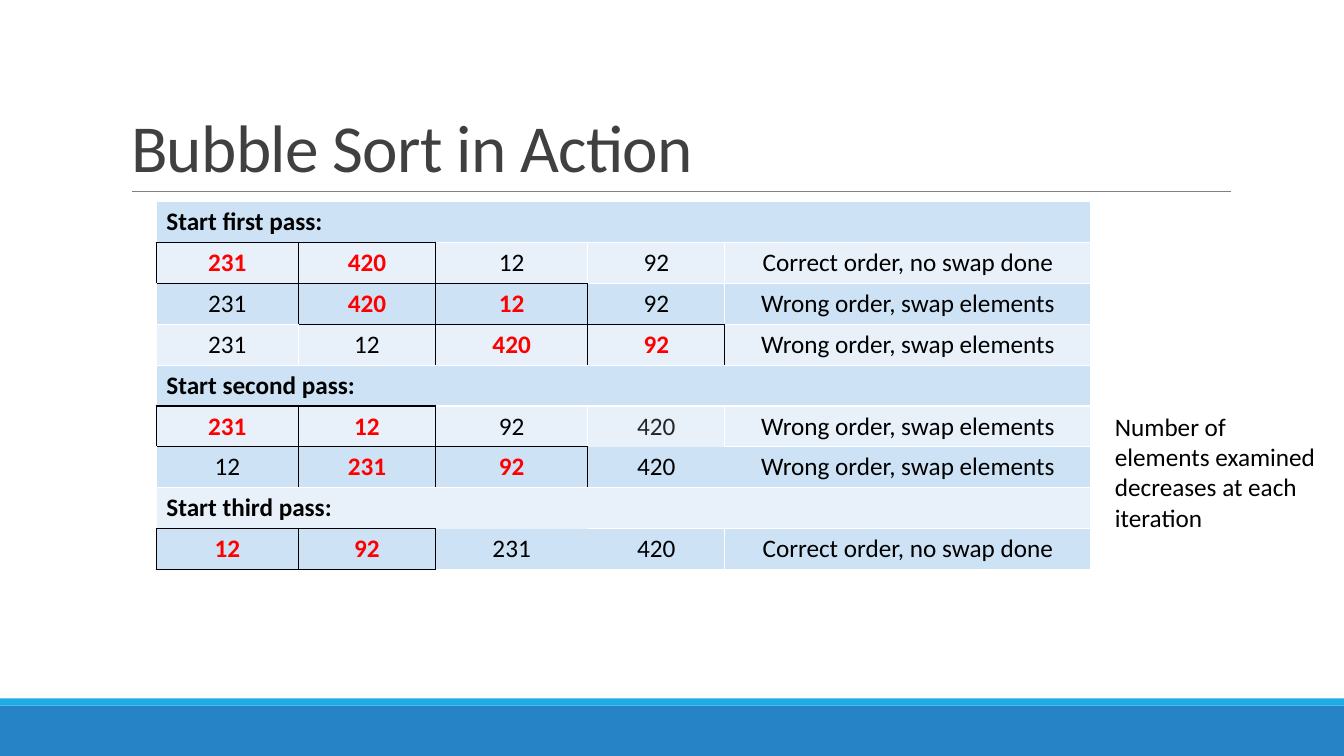
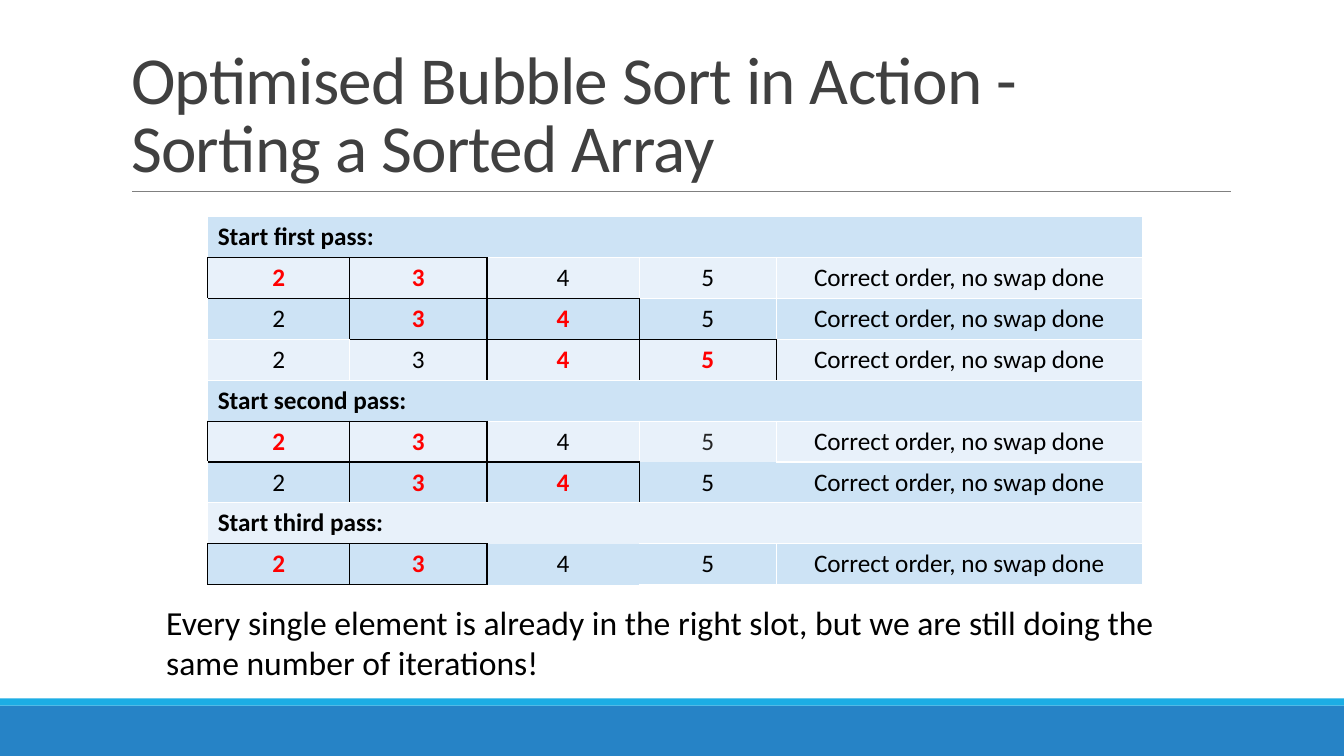
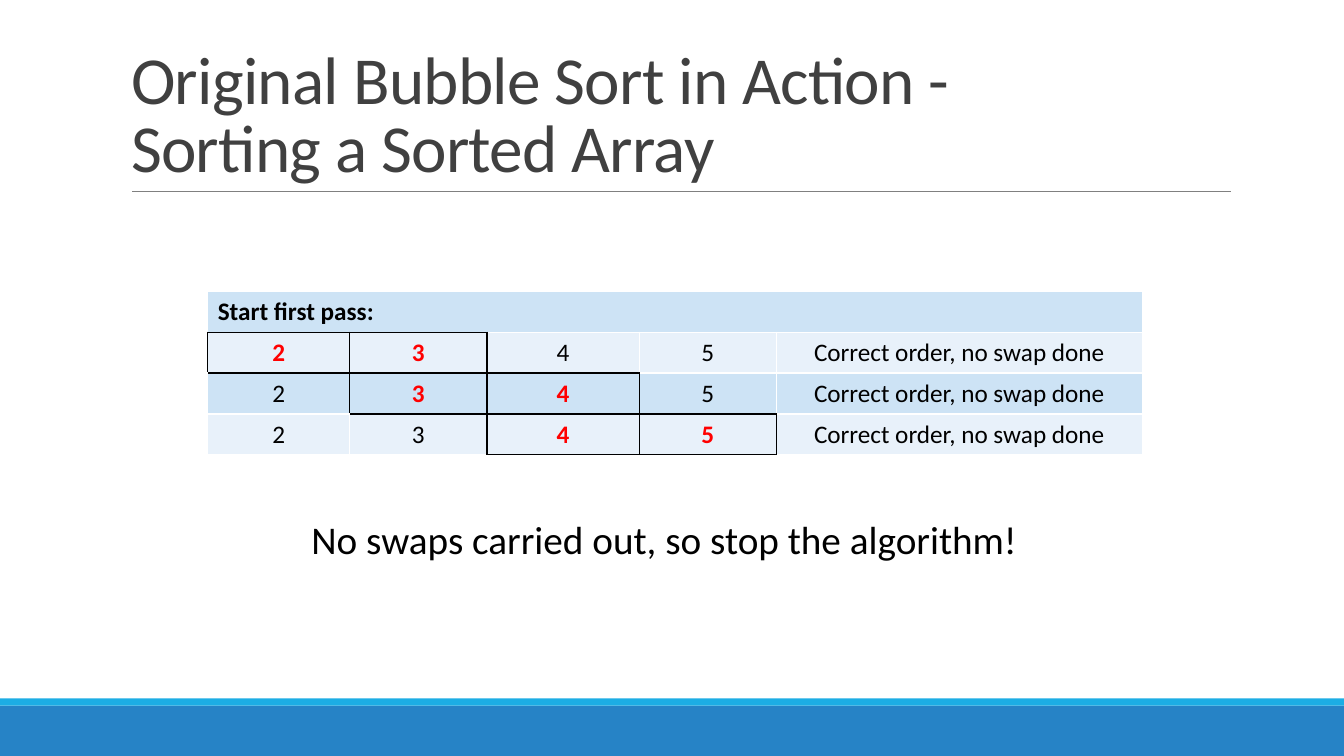
"""Build three slides that trace bubble sort pass by pass."""
from dataclasses import dataclass
from typing import Optional

from lxml import etree
from pptx import Presentation
from pptx.dml.color import RGBColor
from pptx.enum.shapes import MSO_CONNECTOR, MSO_SHAPE
from pptx.enum.text import MSO_ANCHOR, MSO_AUTO_SIZE, PP_ALIGN
from pptx.oxml.ns import qn
from pptx.util import Inches, Pt

RECT, STRAIGHT = MSO_SHAPE.RECTANGLE, MSO_CONNECTOR.STRAIGHT
LEFT, CENTER = PP_ALIGN.LEFT, PP_ALIGN.CENTER
BOTTOM = MSO_ANCHOR.BOTTOM
NO_FIT, GROW = MSO_AUTO_SIZE.NONE, MSO_AUTO_SIZE.SHAPE_TO_FIT_TEXT

TITLE_ONLY = 5
COL_WIDTHS = (1.41, 1.36, 1.51, 1.36, 3.63)
ROW_HEIGHT = 0.4
ORDINALS = ("first", "second", "third")


@dataclass(frozen=True)
class Theme:
    """Colours, font and type sizes of the deck."""
    font: str = "Calibri"
    title_size: int = 48
    cell_size: int = 18
    title: str = "404040"
    ink: str = "000000"
    muted: str = "262626"
    hot: str = "FF0000"
    grid: str = "FFFFFF"
    rule: str = "808080"
    bands: tuple = ("CDE3F5", "E8F1FA")
    footer: str = "2683C6"
    accent: str = "1CADE4"


@dataclass(frozen=True)
class Band:
    """A full-width strip at the foot of the slide."""
    top: float
    height: float
    color: str


@dataclass(frozen=True)
class Note:
    """A remark beside or under the table."""
    text: str
    left: float
    top: float
    width: float
    height: float
    size: int


@dataclass(frozen=True)
class SortSlide:
    """A slide that traces some passes over an array."""
    title: str
    values: tuple
    passes: int
    left: float
    top: float
    note: Note


@dataclass(frozen=True)
class Row:
    """One table row: a pass heading, or a comparison of hot and hot + 1."""
    texts: tuple
    hot: Optional[int] = None
    settled: int = 4
    last: bool = False

    def is_hot(self, col: int) -> bool:
        """Tell whether the column is being compared."""
        return self.hot is not None and col in (self.hot, self.hot + 1)

    def is_muted(self, col: int) -> bool:
        """Tell whether the column is settled while the pass goes on."""
        return not self.last and self.settled <= col < 4

    def is_bare(self, col: int) -> bool:
        """Tell whether the column has no grid of its own."""
        return self.last and col == self.settled < 4


THEME = Theme()
BANDS = (Band(7, 0.5, THEME.footer), Band(6.93, 0.07, THEME.accent))
SLIDES = (
    SortSlide("Bubble Sort in Action", (231, 420, 12, 92), 3, 1.55, 2,
              Note("Number of elements examined decreases at each iteration",
                   10.96, 4.03, 2.2, 1.31, 18)),
    SortSlide("Optimised Bubble Sort in Action -\vSorting a Sorted Array", (2, 3, 4, 5), 3, 2.06, 2.15,
              Note("Every single element is already in the right slot, "
                   "but we are still doing the same number of iterations!",
                   1.55, 5.92, 10.65, 0.91, 24)),
    SortSlide("Original Bubble Sort in Action -\vSorting a Sorted Array", (2, 3, 4, 5), 1, 2.06, 2.89,
              Note("No swaps carried out, so stop the algorithm!",
                   2.99, 5.06, 7.42, 0.57, 28)),
)


def trace(values: tuple, passes: int) -> list[Row]:
    """Run bubble sort and return a row for each heading and comparison."""
    items, rows = list(values), []
    for number in range(passes):
        rows.append(Row((f"Start {ORDINALS[number]} pass:",)))
        settled = len(items) - number
        for i in range(settled - 1):
            swap = items[i] > items[i + 1]
            verdict = "Wrong order, swap elements" if swap else "Correct order, no swap done"
            rows.append(Row((*map(str, items), verdict), i, settled, i == settled - 2))
            if swap:
                items[i], items[i + 1] = items[i + 1], items[i]
    return rows


def style_text(tf, size: int, color: str, align=LEFT, bold: bool = False) -> None:
    """Format every run of a text frame."""
    for p in tf.paragraphs:
        p.alignment = align
        for r in p.runs:
            r.font.name, r.font.size, r.font.bold = THEME.font, Pt(size), bold
            r.font.color.rgb = RGBColor.from_string(color)


def edge_color(rows: list[Row], row: int, col: int, dr: int, dc: int) -> Optional[str]:
    """Return the colour of the edge towards a neighbour, or None for no line."""
    cell, near = (row, col), (row + dr, col + dc)
    if rows[row].hot is None and dr < 0:
        return THEME.grid
    pair = [(rows[r], c) for r, c in (cell, near) if 0 <= r < len(rows)]
    if any(line.is_hot(c) for line, c in pair):
        return THEME.ink
    if any(line.is_bare(c) for line, c in pair):
        return None
    return THEME.grid


def add_edge(cell, tag: str, color: Optional[str]) -> None:
    """Add one border line to a table cell."""
    ln = etree.SubElement(cell._tc.get_or_add_tcPr(), qn(tag), w=str(Pt(1)))
    if color is None:
        etree.SubElement(ln, qn("a:noFill"))
    else:
        fill = etree.SubElement(ln, qn("a:solidFill"))
        etree.SubElement(fill, qn("a:srgbClr"), val=color)


def add_trace_table(s, spec: SortSlide) -> None:
    """Draw the trace of a sort as a table."""
    rows = trace(spec.values, spec.passes)
    table = s.shapes.add_table(
        len(rows), len(COL_WIDTHS), Inches(spec.left), Inches(spec.top),
        Inches(sum(COL_WIDTHS)), Inches(ROW_HEIGHT * len(rows))).table
    table.first_row = table.horz_banding = False
    for column, width in zip(table.columns, COL_WIDTHS):
        column.width = Inches(width)
    sides = {"a:lnL": (0, -1), "a:lnR": (0, 1), "a:lnT": (-1, 0), "a:lnB": (1, 0)}
    for i, row in enumerate(rows):
        heading = row.hot is None
        if heading:
            table.cell(i, 0).merge(table.cell(i, len(COL_WIDTHS) - 1))
        for j, text in enumerate(row.texts):
            cell, hot = table.cell(i, j), row.is_hot(j)
            for tag, (dr, dc) in sides.items():
                add_edge(cell, tag, edge_color(rows, i, j, dr, dc))
            cell.fill.solid()
            cell.fill.fore_color.rgb = RGBColor.from_string(THEME.bands[i % 2])
            cell.text_frame.text = text
            color = THEME.hot if hot else THEME.muted if row.is_muted(j) else THEME.ink
            style_text(cell.text_frame, THEME.cell_size, color,
                       LEFT if heading else CENTER, heading or hot)


def set_title(s, text: str) -> None:
    """Fill and format the title placeholder."""
    tf = s.shapes.title.text_frame
    tf.text = text
    tf.word_wrap, tf.auto_size, tf.vertical_anchor = True, NO_FIT, BOTTOM
    style_text(tf, THEME.title_size, THEME.title)
    tf.paragraphs[0].line_spacing = 0.85
    for r in tf.paragraphs[0].runs:
        r.font._element.set("spc", "-50")


def add_note(s, note: Note) -> None:
    """Add a remark as a wrapped text box."""
    tf = s.shapes.add_textbox(Inches(note.left), Inches(note.top),
                              Inches(note.width), Inches(note.height)).text_frame
    tf.text = note.text
    tf.word_wrap, tf.auto_size = True, GROW
    style_text(tf, note.size, THEME.ink)


def dress_layout(prs, layout, s) -> None:
    """Place the shared title area, rule and bands on the layout."""
    for ph in list(layout.placeholders)[1:]:
        layout.shapes.element.remove(ph.element)
    title = layout.placeholders[0]
    title.left, title.top, title.width, title.height = map(Inches, (1.2, 0.31, 11, 1.59))
    shared = []
    for band in BANDS:
        sp = s.shapes.add_shape(RECT, 0, Inches(band.top), prs.slide_width, Inches(band.height))
        sp.shadow.inherit = False
        sp.fill.solid()
        sp.fill.fore_color.rgb = RGBColor.from_string(band.color)
        sp.line.fill.background()
        shared.append(sp)
    rule = s.shapes.add_connector(STRAIGHT, Inches(1.31), Inches(1.9), Inches(12.21), Inches(1.9))
    rule.line.color.rgb = RGBColor.from_string(THEME.rule)
    rule.line.width = Pt(0.5)
    etree.SubElement(rule._element.spPr, qn("a:effectLst"))
    for sp in (*shared, rule):
        layout.shapes.element.append(sp.element)


def main() -> None:
    """Build and save the deck."""
    prs = Presentation()
    prs.slide_width, prs.slide_height = Inches(13.33), Inches(7.5)
    layout = prs.slide_layouts[TITLE_ONLY]
    for i, spec in enumerate(SLIDES):
        s = prs.slides.add_slide(layout)
        if i == 0:
            dress_layout(prs, layout, s)
        set_title(s, spec.title)
        add_trace_table(s, spec)
        add_note(s, spec.note)
    prs.save("out.pptx")


if __name__ == "__main__":
    main()
